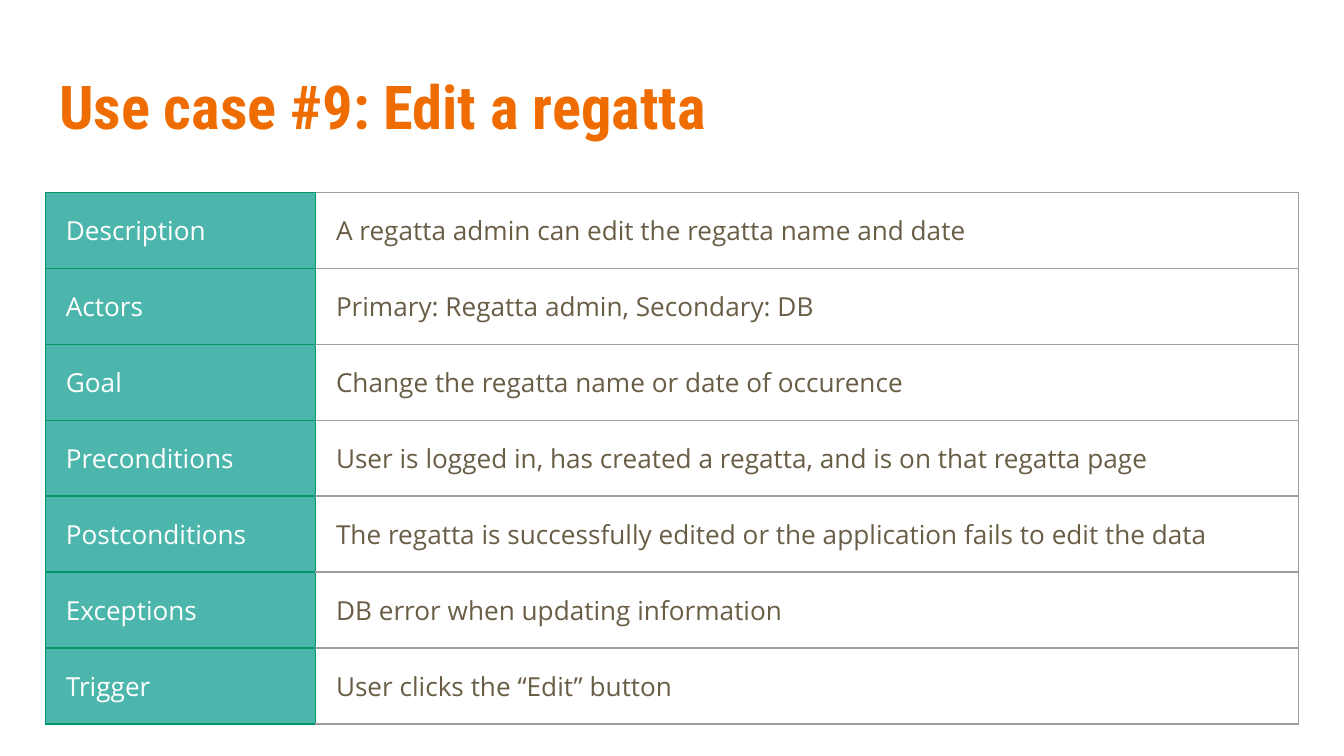
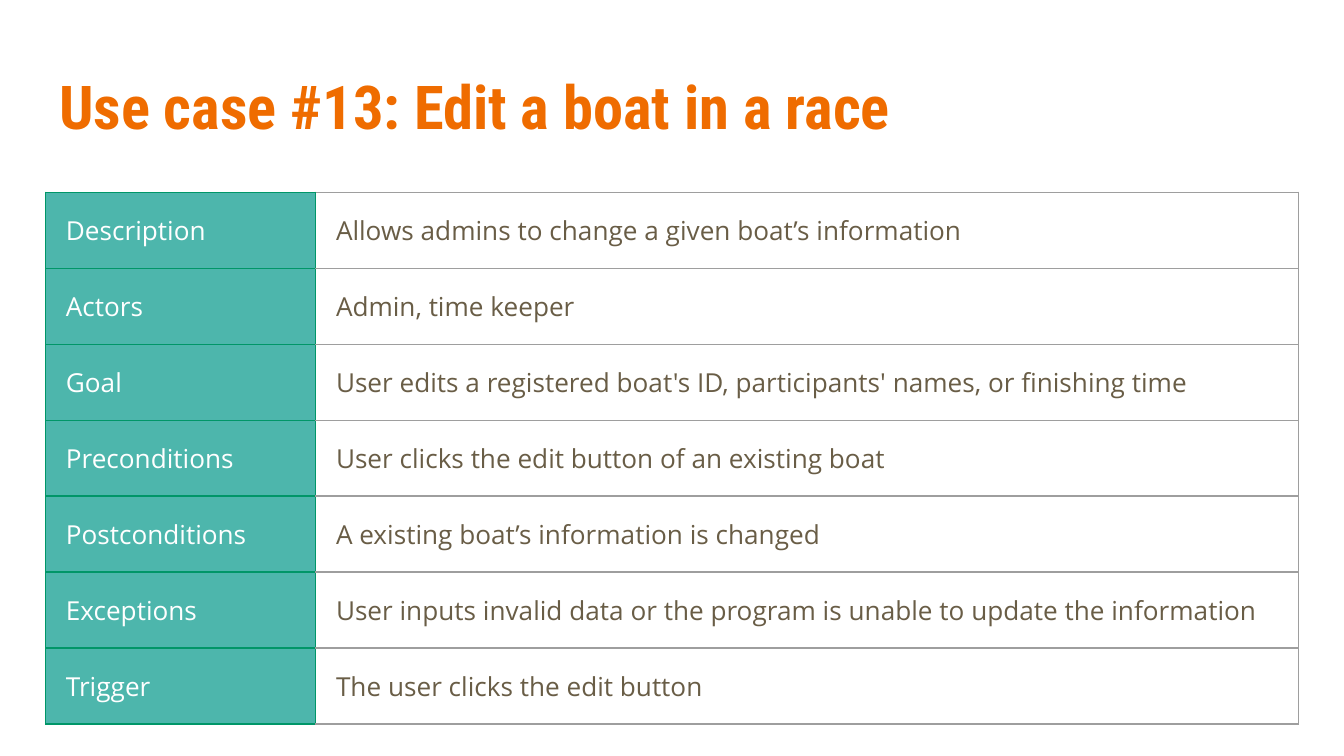
from pptx import Presentation
from pptx.dml.color import RGBColor
from pptx.enum.text import MSO_ANCHOR, MSO_AUTO_SIZE, PP_ALIGN
from pptx.oxml import parse_xml
from pptx.oxml.ns import nsdecls
from pptx.util import Inches, Pt

ORANGE = RGBColor(0xEF, 0x6C, 0x00)
TEAL = RGBColor(0x4D, 0xB6, 0xAC)
GREEN = RGBColor(0x00, 0x96, 0x68)
GRAY = RGBColor(0x9E, 0x9E, 0x9E)
BROWN = RGBColor(0x69, 0x5D, 0x46)
WHITE = RGBColor(0xFF, 0xFF, 0xFF)

TITLE_FONT = "Roboto Condensed"
BODY_FONT = "Open Sans"
TITLE_ONLY_LAYOUT = 5
SLIDE_WIDTH = Inches(10)
SLIDE_HEIGHT = SLIDE_WIDTH * 9 // 16
TITLE_BOX = (0.34, 0.4, 9.32, 0.77)
TABLE_BOX = (0.34, 1.43, 9.32, 2.94)
LABEL_WIDTH = 2.01

FIELDS = ("Description", "Actors", "Goal", "Preconditions",
          "Postconditions", "Exceptions", "Trigger")
USE_CASES = (
    ("Use case #9: Edit a regatta", (
        "A regatta admin can edit the regatta name and date",
        "Primary: Regatta admin, Secondary: DB",
        "Change the regatta name or date of occurence",
        "User is logged in, has created a regatta, and is on that regatta page",
        "The regatta is successfully edited or the application fails to edit the data",
        "DB error when updating information",
        "User clicks the “Edit” button",
    )),
    ("Use case #13: Edit a boat in a race", (
        "Allows admins to change a given boat’s information",
        "Admin, time keeper",
        "User edits a registered boat's ID, participants' names, or finishing time",
        "User clicks the edit button of an existing boat",
        "A existing boat’s information is changed",
        "User inputs invalid data or the program is unable to update the information",
        "The user clicks the edit button",
    )),
)


def write_text(text_frame, text, *, font, size, color, bold=False):
    """Put one left-aligned, formatted line of text in a text frame."""
    paragraph = text_frame.paragraphs[0]
    paragraph.alignment = PP_ALIGN.LEFT
    run = paragraph.add_run()
    run.text = text
    run.font.name = font
    run.font.size = Pt(size)
    run.font.color.rgb = color
    run.font.bold = bold


def set_margins(target, margin):
    """Give a cell or text frame the same margin on all sides."""
    for side in ("left", "top", "right", "bottom"):
        setattr(target, f"margin_{side}", Inches(margin))


def set_borders(cell, color, left_color):
    """Draw thin borders around a cell."""
    properties = cell._tc.get_or_add_tcPr()
    for side in "LRTB":
        side_color = left_color if side == "L" else color
        properties.append(parse_xml(
            f'<a:ln{side} {nsdecls("a")} w="{Pt(0.75)}"><a:solidFill>'
            f'<a:srgbClr val="{side_color}"/></a:solidFill></a:ln{side}>'))


def fill_cell(cell, text, color, border, fill=None):
    """Write and style one table cell."""
    set_margins(cell, 0.15)
    set_borders(cell, border, GREEN)
    if fill is None:
        cell.fill.background()
    else:
        cell.fill.solid()
        cell.fill.fore_color.rgb = fill
    write_text(cell.text_frame, text, font=BODY_FONT, size=14, color=color)


def add_title(slide, text, box):
    """Place the slide title in its placeholder."""
    title = slide.shapes.title
    title.left, title.top, title.width, title.height = map(Inches, box)
    frame = title.text_frame
    frame.word_wrap = True
    frame.auto_size = MSO_AUTO_SIZE.NONE
    frame.vertical_anchor = MSO_ANCHOR.MIDDLE
    set_margins(frame, 0.1)
    write_text(frame, text, font=TITLE_FONT, size=32.4, color=ORANGE, bold=True)


def add_use_case_table(slide, values, box):
    """Add the table of field labels and their values."""
    table = slide.shapes.add_table(len(FIELDS), 2, *map(Inches, box)).table
    table.first_row = False
    table.horz_banding = False
    table.columns[0].width = Inches(LABEL_WIDTH)
    table.columns[1].width = Inches(box[2] - LABEL_WIDTH)
    for row, (field, value) in enumerate(zip(FIELDS, values)):
        fill_cell(table.cell(row, 0), field, WHITE, GREEN, TEAL)
        fill_cell(table.cell(row, 1), value, BROWN, GRAY)


def add_use_case_slide(presentation, title, values):
    """Add one use case slide."""
    layout = presentation.slide_layouts[TITLE_ONLY_LAYOUT]
    slide = presentation.slides.add_slide(layout)
    slide.background.fill.solid()
    slide.background.fill.fore_color.rgb = WHITE
    add_title(slide, title, TITLE_BOX)
    add_use_case_table(slide, values, TABLE_BOX)


def main():
    """Build and save the presentation."""
    presentation = Presentation()
    presentation.slide_width = SLIDE_WIDTH
    presentation.slide_height = SLIDE_HEIGHT
    for title, values in USE_CASES:
        add_use_case_slide(presentation, title, values)
    presentation.save("out.pptx")


if __name__ == "__main__":
    main()
